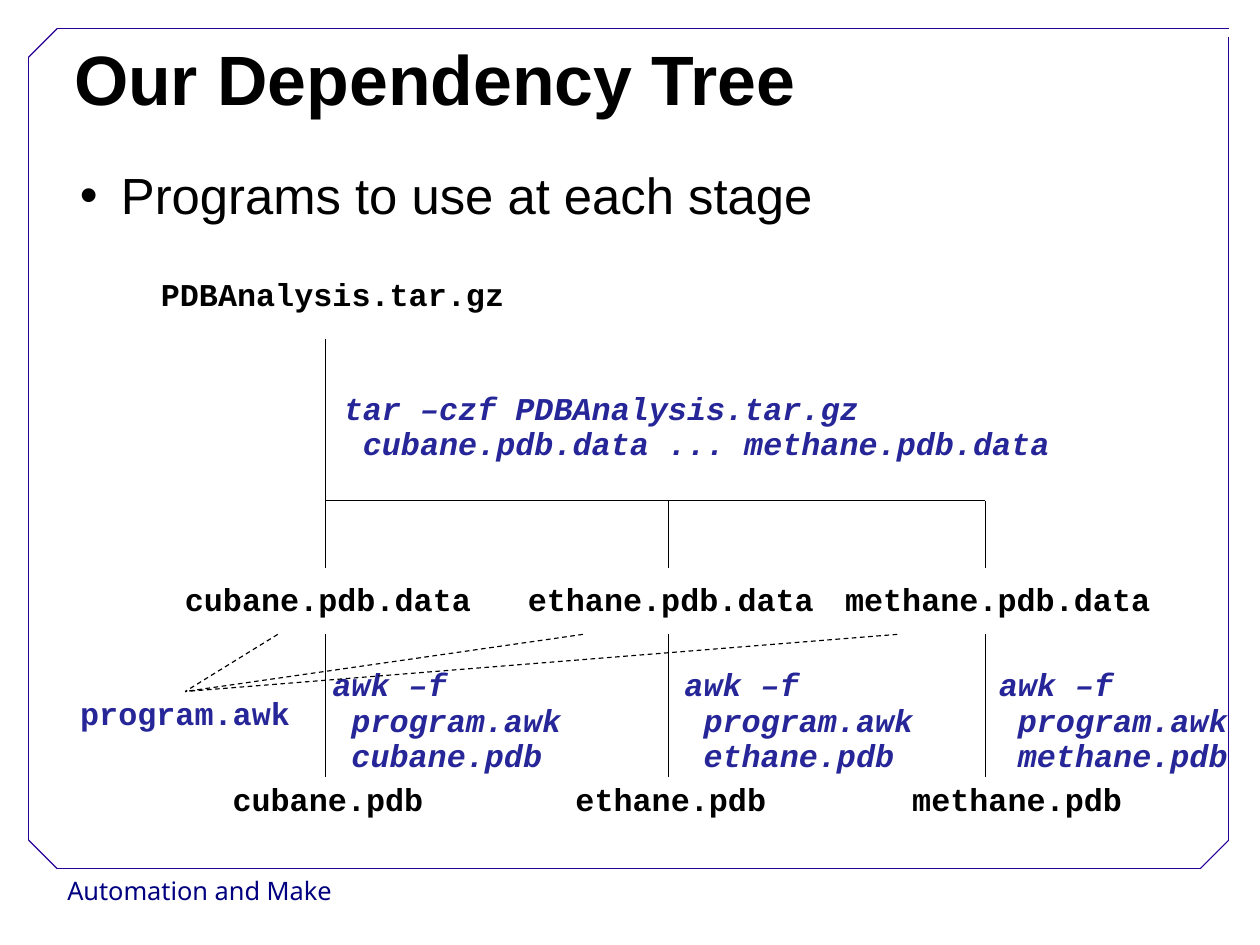
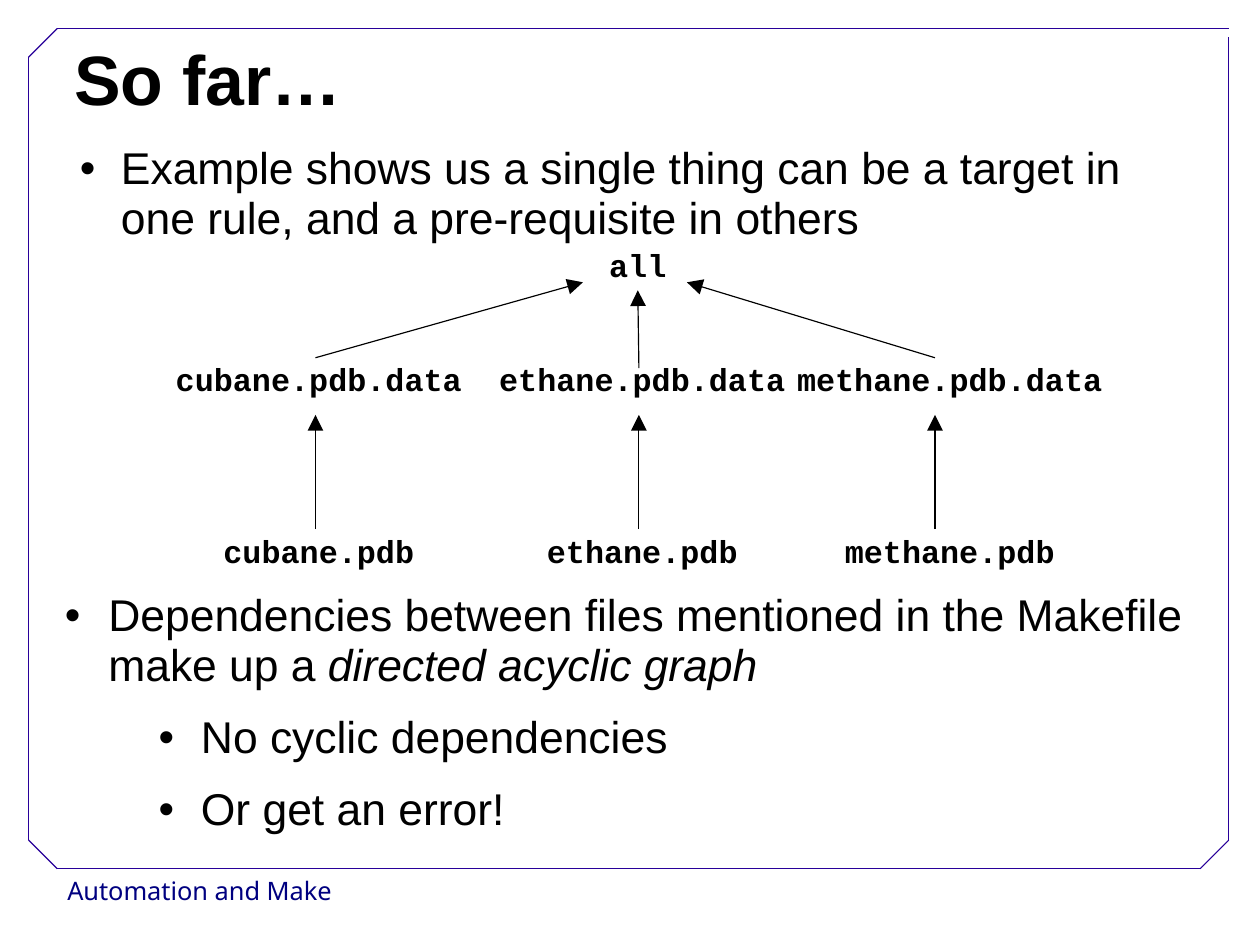
from dataclasses import dataclass

from lxml.etree import SubElement
from pptx import Presentation
from pptx.dml.color import RGBColor
from pptx.enum.dml import MSO_LINE_DASH_STYLE as Dash
from pptx.enum.shapes import MSO_CONNECTOR
from pptx.enum.text import MSO_ANCHOR, MSO_AUTO_SIZE, PP_ALIGN
from pptx.oxml.ns import qn
from pptx.util import Cm, Inches, Pt


@dataclass(frozen=True)
class Theme:
    black: str = "000000"
    frame: str = "280099"
    footer: str = "000080"
    command: str = "262699"
    sans: str = "Arial"
    mono: str = "Courier New"
    footer_font: str = "Noto Sans"
    title_size: int = 44
    lead_size: int = 32
    body_size: int = 28
    code_size: int = 20
    footer_size: int = 16
    line_width: float = 0.75
    spacing: float = 0.93
    after: float = 14.3


THEME = Theme()
CHAR = THEME.code_size * 0.6 / 72  # width of one monospaced character, inches
LABEL_HEIGHT = 0.41
PADDING = 0.11

FOOTER = "Automation and Make"
FRAME = [
    ((0.5, 7.6), (10.5, 7.6)),
    ((0.25, 7.35), (0.25, 0.5)),
    ((0.5, 0.25), (10.75, 0.25)),
    ((10.75, 7.35), (10.75, 0.32)),
    ((0.25, 0.5), (0.5, 0.25)),
    ((10.5, 7.6), (10.75, 7.35)),
    ((0.25, 7.35), (0.5, 7.6)),
]

# Paragraphs are (runs, left margin, first-line indent); runs are (text, italic)
LEAD = (0.47, -0.36)
POINT = (0.38, -0.38)
SUBPOINT = (1.19, -0.37)
PROGRAMS = [([("Programs to use at each stage", False)], *LEAD)]
EXAMPLE = [([("Example shows us a single thing can be a target in "
              "one rule, and a pre-requisite in others", False)], *LEAD)]
GRAPH = [
    ([("Dependencies between files mentioned in the Makefile make up a ", False),
      ("directed acyclic graph", True)], *POINT),
    ([("No cyclic dependencies", False)], *SUBPOINT),
    ([("Or get an error!", False)], *SUBPOINT),
]

ARCHIVE = "PDBAnalysis.tar.gz"
SCRIPT = "program.awk"
TAR = ["tar –czf PDBAnalysis.tar.gz", "cubane.pdb.data ... methane.pdb.data"]

# molecule, branch x, data label centre, pdb label centre, command left, dash start x
TREE = [
    ("cubane", 2.85, 2.87, 2.87, 2.81, 2.43),
    ("ethane", 5.85, 5.87, 5.87, 5.89, 5.1),
    ("methane", 8.62, 8.73, 8.9, 8.64, 7.85),
]
# molecule, arrow x, label centre, arrow start y, arrow tip (None: joins the goal)
RULES = [
    ("cubane", 2.76, 2.79, 3.13, (5.1, 2.47)),
    ("ethane", 5.59, 5.62, 3.22, None),
    ("methane", 8.18, 8.31, 3.13, (6.01, 2.47)),
]


def text_box(slide, left, top, width, height, wrap=True):
    box = slide.shapes.add_textbox(*map(Inches, (left, top, width, height)))
    frame = box.text_frame
    frame.word_wrap = wrap
    frame.vertical_anchor = MSO_ANCHOR.TOP
    if not wrap:
        frame.auto_size = MSO_AUTO_SIZE.SHAPE_TO_FIT_TEXT
    return box


def add_paragraph(box, first, margin=0, indent=0, spacing=THEME.spacing):
    frame = box.text_frame
    paragraph = frame.paragraphs[0] if first else frame.add_paragraph()
    paragraph.line_spacing = spacing
    properties = paragraph._p.get_or_add_pPr()
    properties.set("marL", str(Inches(margin)))
    properties.set("indent", str(Inches(indent)))
    return paragraph


def add_run(paragraph, text, size, font=THEME.sans, color=THEME.black,
            bold=False, italic=False):
    run = paragraph.add_run()
    run.text = text
    run.font.name, run.font.size = font, Pt(size)
    run.font.bold, run.font.italic = bold, italic
    run.font.color.rgb = RGBColor.from_string(color)


def bullets(slide, left, top, height, paragraphs, size):
    box = text_box(slide, left, top, 10, height)
    for i, (runs, margin, indent) in enumerate(paragraphs):
        paragraph = add_paragraph(box, i == 0, margin, indent)
        paragraph.level = int(margin == SUBPOINT[0])
        paragraph.space_after = Pt(THEME.after)
        properties = paragraph._p.get_or_add_pPr()
        SubElement(properties, qn("a:buFont")).set("typeface", THEME.sans)
        SubElement(properties, qn("a:buChar")).set("char", "•")
        for text, italic in runs:
            add_run(paragraph, text, size, italic=italic)


def label(slide, center, top, text, color=THEME.black):
    """File name in a box as wide as its characters, centred on a column."""
    width = len(text) * CHAR + 2 * PADDING
    box = text_box(slide, center - width / 2, top, width, LABEL_HEIGHT, wrap=False)
    paragraph = add_paragraph(box, True)
    paragraph.alignment = PP_ALIGN.CENTER
    add_run(paragraph, text, THEME.code_size, THEME.mono, color, bold=True)
    return box


def command(slide, left, top, lines):
    """Shell command whose continuation lines are set in by one character."""
    width = (max(map(len, lines)) + 1) * CHAR + 2 * PADDING
    height = 0.1 + 0.31 * len(lines)
    box = text_box(slide, left, top, width, height, wrap=False)
    for i, text in enumerate(lines):
        paragraph = add_paragraph(box, i == 0, margin=CHAR if i else 0)
        add_run(paragraph, text, THEME.code_size, THEME.mono, THEME.command,
                bold=True, italic=True)


def line(slide, start, end, color=THEME.black, dashed=False, arrow=False):
    connector = slide.shapes.add_connector(
        MSO_CONNECTOR.STRAIGHT, *map(Inches, (*start, *end)))
    connector.line.color.rgb = RGBColor.from_string(color)
    connector.line.width = Pt(THEME.line_width)
    if dashed:
        connector.line.dash_style = Dash.DASH
    if arrow:
        head = SubElement(connector.line._get_or_add_ln(), qn("a:tailEnd"))
        for key, value in (("type", "triangle"), ("w", "lg"), ("len", "lg")):
            head.set(key, value)
    SubElement(connector._element.spPr, qn("a:effectLst"))
    return connector


def new_slide(deck, title):
    """Blank slide with the shared footer, frame and title."""
    slide = deck.slides.add_slide(deck.slide_layouts[6])
    footer = text_box(slide, 0.49, 7.6, 2.52, 0.4, wrap=False)
    add_run(add_paragraph(footer, True, spacing=1.02), FOOTER,
            THEME.footer_size, THEME.footer_font, THEME.footer)
    for start, end in FRAME:
        line(slide, start, end, THEME.frame)
    heading = text_box(slide, 0.55, 0.33, 9.92, 0.84)
    add_run(add_paragraph(heading, True), title, THEME.title_size, bold=True)
    return slide


def dependency_tree(deck):
    slide = new_slide(deck, "Our Dependency Tree")
    bullets(slide, 0.49, 1.43, 0.71, PROGRAMS, THEME.lead_size)
    label(slide, 2.91, 2.38, ARCHIVE)
    command(slide, 2.91, 3.38, TAR)
    script = label(slide, 1.62, 6.05, SCRIPT, THEME.command)

    branch_y, data_y, pdb_y = 4.38, 5.05, 6.8
    trunk, last = TREE[0][1], TREE[-1][1]
    line(slide, (trunk, 2.97), (trunk, branch_y))
    line(slide, (trunk, branch_y), (last, branch_y))
    for molecule, x, data_x, pdb_x, command_x, dash_x in TREE:
        label(slide, data_x, data_y, f"{molecule}.pdb.data")
        label(slide, pdb_x, pdb_y, f"{molecule}.pdb")
        line(slide, (x, branch_y), (x, 4.97))
        line(slide, (x, 5.55), (x, pdb_y))
        command(slide, command_x, 5.8, ["awk –f", SCRIPT, f"{molecule}.pdb"])
        use = line(slide, (dash_x, 5.55), (1.62, 6.05), dashed=True)
        use.end_connect(script, 0)


def so_far(deck):
    slide = new_slide(deck, "So far…")
    bullets(slide, 0.49, 1.22, 1.25, EXAMPLE, THEME.body_size)
    goal = label(slide, 5.58, 2.13, "all")
    for molecule, x, center, start_y, tip in RULES:
        label(slide, center, 3.13, f"{molecule}.pdb.data")
        label(slide, center, 4.63, f"{molecule}.pdb")
        line(slide, (x, 4.63), (x, 3.63), arrow=True)
        rule = line(slide, (x, start_y), tip or (5.58, 2.54), arrow=True)
        if tip is None:
            rule.end_connect(goal, 2)
    bullets(slide, 0.47, 5.13, 2.83, GRAPH, THEME.body_size)


def main():
    deck = Presentation()
    deck.slide_width, deck.slide_height = Cm(28), Cm(21)
    dependency_tree(deck)
    so_far(deck)
    deck.save("out.pptx")


if __name__ == "__main__":
    main()
